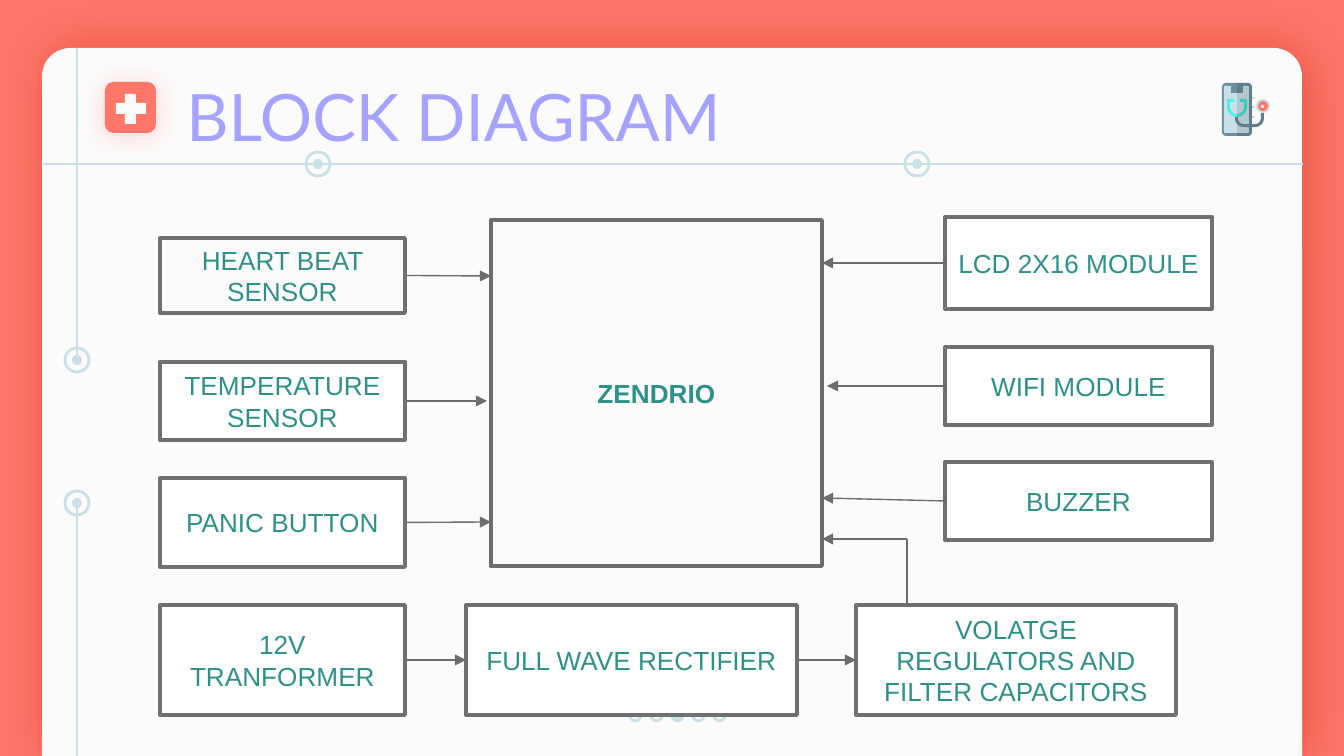
import math

import pptx
import pptx.dml.color
import pptx.enum.shapes
import pptx.enum.text
import pptx.oxml.ns
import pptx.util
from lxml import etree

SCALE = 914400 / 134.4
SHAPE = pptx.enum.shapes.MSO_SHAPE
ALIGN = pptx.enum.text.PP_ALIGN
MIDDLE = pptx.enum.text.MSO_ANCHOR.MIDDLE
qn = pptx.oxml.ns.qn
TOP, LEFT, BOTTOM, RIGHT = range(4)
COLOURS = {
    "coral": "FF7769", "glow": "DD4231", "card": "FCFBFB", "white": "FFFFFF",
    "pale": "C8E0E8", "lilac": "A5A3FF", "teal": "2D918A", "border": "707070",
    "dark_border": "6C6C6C", "steel": "6A8F9B", "cyan": "53EBE7",
    "sea": "3DCCC0", "black": "000000",
}
CONTROLLER = "ZENDRIO"
BLOCKS = {
    CONTROLLER: (491, 220, 331, 346),
    "HEART BEAT SENSOR": (160, 238, 245, 75),
    "TEMPERATURE SENSOR": (160, 362, 245, 78),
    "PANIC BUTTON": (160, 478, 245, 89),
    "12V TRANFORMER": (160, 605, 245, 110),
    "FULL WAVE RECTIFIER": (466, 605, 331, 110),
    "VOLATGE REGULATORS AND FILTER CAPACITORS": (856, 605, 320, 110),
    "LCD 2X16 MODULE": (945, 217, 267, 92),
    "WIFI MODULE": (945, 347, 267, 78),
    "BUZZER": (945, 462, 267, 78),
}
SIGNALS = [
    ("HEART BEAT SENSOR", RIGHT, (491, 276)),
    ("TEMPERATURE SENSOR", RIGHT, (487, 401)),
    ("PANIC BUTTON", RIGHT, (491, 522)),
    ("BUZZER", LEFT, (822, 498)),
    ("WIFI MODULE", LEFT, (827, 386)),
    ("LCD 2X16 MODULE", LEFT, (822, 263)),
]
POWER_CHAIN = ["12V TRANFORMER", "FULL WAVE RECTIFIER",
               "VOLATGE REGULATORS AND FILTER CAPACITORS"]


def px(length):
    """Turn a length in px into EMU."""
    return pptx.util.Emu(round(length * SCALE))


def colour(name):
    """Look up a named colour."""
    return pptx.dml.color.RGBColor.from_string(COLOURS[name])


def set_alpha(parent, percent):
    """Set the opacity of the colour inside an XML element."""
    tint = next(parent.iter(qn("a:srgbClr")))
    etree.SubElement(tint, qn("a:alpha")).set("val", str(percent * 1000))


def paint(shape, fill=None, line=None, width=1.5, alpha=None):
    """Set the fill and outline of a shape and remove its shadow."""
    shape.shadow.inherit = False
    if fill:
        shape.fill.solid()
        shape.fill.fore_color.rgb = colour(fill)
        if alpha:
            set_alpha(shape.element.spPr.find(qn("a:solidFill")), alpha)
    else:
        shape.fill.background()
    if line:
        shape.line.color.rgb = colour(line)
        shape.line.width = pptx.util.Pt(width)
    else:
        shape.line.fill.background()
    return shape


def add_box(shapes, kind, bounds, **style):
    """Add a painted preset shape."""
    return paint(shapes.add_shape(kind, *map(px, bounds)), **style)


def add_outline(shapes, points, **style):
    """Add a painted closed outline."""
    start, *others = [(px(x), px(y)) for x, y in points]
    builder = shapes.build_freeform(*start, scale=1.0)
    builder.add_line_segments(others, close=True)
    return paint(builder.convert_to_shape(), **style)


def add_line(shapes, start, end, tint="pale", width=1.5, arrow=False):
    """Add a straight connector, with an arrowhead at its end if wanted."""
    line = shapes.add_connector(pptx.enum.shapes.MSO_CONNECTOR.STRAIGHT,
                                *map(px, (*start, *end)))
    line.line.color.rgb = colour(tint)
    line.line.width = pptx.util.Pt(width)
    properties = line.element.spPr
    if arrow:
        etree.SubElement(properties.find(qn("a:ln")), qn("a:tailEnd")).set("type", "triangle")
    etree.SubElement(properties, qn("a:effectLst"))
    return line


def add_glow(shape, tint, alpha, blur, distance, degrees):
    """Give a shape a soft outer shadow."""
    effects = shape.element.spPr.find(qn("a:effectLst"))
    shadow = etree.SubElement(effects, qn("a:outerShdw"), {
        "blurRad": str(pptx.util.Pt(blur)), "dist": str(pptx.util.Pt(distance)),
        "dir": str(degrees * 60000), "algn": "bl", "rotWithShape": "0"})
    etree.SubElement(shadow, qn("a:srgbClr")).set("val", COLOURS[tint])
    set_alpha(shadow, alpha)


def write(frame, text, size, font, tint, align, bold=False):
    """Write one formatted run in a vertically centred frame."""
    frame.word_wrap = True
    frame.vertical_anchor = MIDDLE
    para = frame.paragraphs[0]
    para.alignment = align
    span = para.add_run()
    span.text = text
    span.font.size = pptx.util.Pt(size)
    span.font.name = font
    span.font.bold = bold
    span.font.color.rgb = colour(tint)


def arc(x, y, radius, start, end):
    """List points along a circular arc, in degrees clockwise from the right."""
    angles = [math.radians(start + (end - start) * step / 8) for step in range(9)]
    return [(x + radius * math.cos(a), y + radius * math.sin(a)) for a in angles]


def add_target(page, x, y):
    """Add a ring with a dot in its centre."""
    shapes = page.shapes.add_group_shape().shapes
    add_box(shapes, SHAPE.OVAL, (x - 12, y - 12, 24, 24), line="pale")
    add_box(shapes, SHAPE.OVAL, (x - 5, y - 5, 10, 10), fill="pale")


def add_decoration(page):
    """Add the card, its rules, targets, dots and cross badge."""
    card = add_box(page.shapes, SHAPE.ROUND_2_SAME_RECTANGLE, (42, 48, 1260, 708), fill="card")
    card.adjustments[0] = 0.04
    add_glow(card, "glow", 67, 28.1, 3.8, 0)
    for y in (98, 107, 117):
        add_line(page.shapes, (1223, y), (1255, y))
    for start, end in (((1303, 164), (43, 164)), ((77, 508), (77, 756)), ((77, 48), (77, 356))):
        add_line(page.shapes, start, end)
    for x, y in ((77, 360), (77, 503), (318, 164), (917, 164)):
        add_target(page, x, y)
    dots = page.shapes.add_group_shape().shapes
    for index in range(5):
        add_box(dots, SHAPE.OVAL, (630 + 21 * index, 710, 11, 11),
                fill="pale" if index == 2 else None, line="pale")
    cross = page.shapes.add_group_shape().shapes
    badge = add_box(cross, SHAPE.ROUNDED_RECTANGLE, (105, 82, 51, 51), fill="coral")
    add_glow(badge, "coral", 30, 13.5, 1.5, 90)
    for bounds in ((125, 94, 11, 30), (116, 103, 30, 11)):
        add_box(cross, SHAPE.RECTANGLE, bounds, fill="card")


def add_phone_icon(page):
    """Add the phone with a stethoscope."""
    shapes = page.shapes.add_group_shape().shapes
    shade = {"fill": "black", "alpha": 11}
    for x, y, width, height, radius, tint in ((1222, 83, 30, 53, 4, "steel"),
                                             (1224, 86, 25, 47, 1, "pale")):
        body = add_box(shapes, SHAPE.ROUNDED_RECTANGLE, (x, y, width, height), fill=tint)
        body.adjustments[0] = radius / width
        right, bottom = x + width - radius, y + height - radius
        add_outline(shapes, [(1237, y), *arc(right, y + radius, radius, -90, 0),
                             *arc(right, bottom, radius, 0, 90), (1237, y + height)], **shade)
    add_box(shapes, SHAPE.RECTANGLE, (1231, 86, 12, 7), fill="steel")
    add_box(shapes, SHAPE.RECTANGLE, (1237, 86, 6, 7), **shade)
    tube = [(1264, 113), *arc(1255, 118, 9, 0, 90), *arc(1244, 118, 9, 90, 180), (1235, 116),
            (1238, 116), *arc(1244, 118, 6, 180, 90), *arc(1255, 118, 6, 90, 0), (1261, 113)]
    for style in ({"fill": "steel"}, shade):
        add_outline(shapes, tube, **style)
    half = [*arc(0, 107, 10, 90, 0), (10, 99), (3, 99), (3, 102), (7, 102),
            *arc(0, 107, 7, 0, 90)]
    for side, tint in ((-1, "cyan"), (1, "sea")):
        add_outline(shapes, [(1237 + side * x, y) for x, y in half], fill=tint)
    for size, tint in ((14, "pale"), (10, "coral")):
        add_box(shapes, SHAPE.OVAL, (1263 - size // 2, 106 - size // 2, size, size), fill=tint)
    add_box(shapes, SHAPE.RECTANGLE, (1261, 105, 3, 3), fill="pale")


def add_title(page):
    """Place and format the title above the card."""
    title = page.shapes.title
    title.element.getparent().append(title.element)
    title.left, title.top, title.width, title.height = map(px, (173, 82, 966, 67))
    write(title.text_frame, "BLOCK DIAGRAM", 35, "Lato", "lilac", ALIGN.LEFT)


def add_block(page, text, bounds):
    """Add one labelled block of the diagram."""
    main_block = text == CONTROLLER
    box = add_box(page.shapes, SHAPE.RECTANGLE, bounds, width=2,
                  fill="card" if main_block or text == "HEART BEAT SENSOR" else "white",
                  line="dark_border" if main_block else "border")
    box.text_frame.margin_left = box.text_frame.margin_right = px(12)
    write(box.text_frame, text, 14, "Arial", "teal", ALIGN.CENTER, main_block)
    return box


def add_arrows(page, boxes):
    """Join the blocks with arrows."""
    style = {"tint": "dark_border", "width": 0.75}
    for name, side, end in SIGNALS:
        add_line(page.shapes, end, end, arrow=True, **style).begin_connect(boxes[name], side)
    for source, target in zip(POWER_CHAIN, POWER_CHAIN[1:]):
        line = add_line(page.shapes, (0, 0), (0, 0), arrow=True, **style)
        line.begin_connect(boxes[source], RIGHT)
        line.end_connect(boxes[target], LEFT)
    add_line(page.shapes, (907, 605), (907, 539), **style)
    add_line(page.shapes, (907, 539), (822, 539), arrow=True, **style)


def main():
    """Build the block diagram slide."""
    deck = pptx.Presentation()
    deck.slide_width, deck.slide_height = px(1344), px(756)
    page = deck.slides.add_slide(deck.slide_layouts[5])
    page.background.fill.solid()
    page.background.fill.fore_color.rgb = colour("coral")
    add_decoration(page)
    add_title(page)
    boxes = {text: add_block(page, text, bounds) for text, bounds in BLOCKS.items()}
    add_arrows(page, boxes)
    add_phone_icon(page)
    deck.save("out.pptx")


if __name__ == "__main__":
    main()
